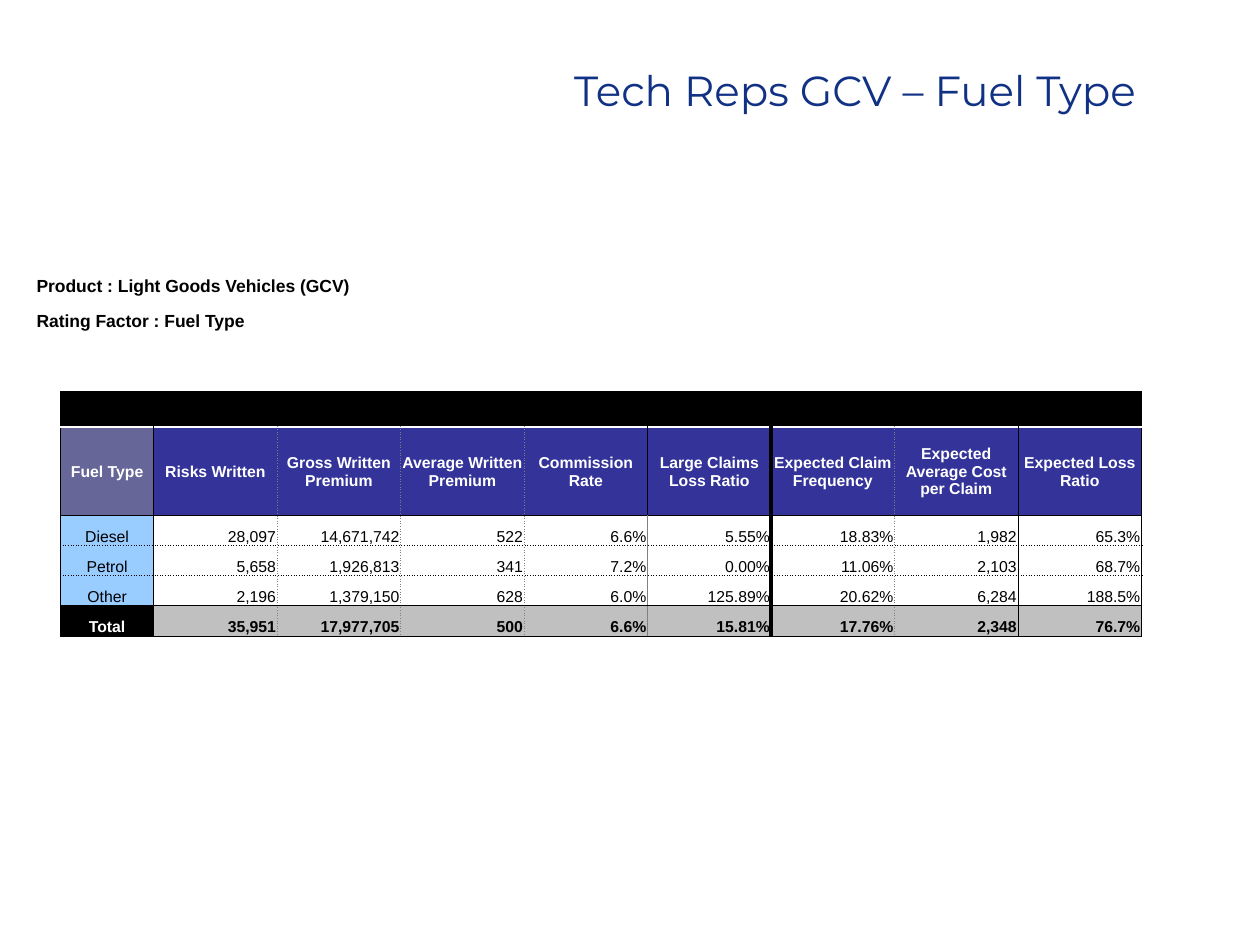
"""Build the fuel type results slide for light goods vehicles."""
from lxml import etree
from pptx import Presentation, util as u
from pptx.dml.color import RGBColor
from pptx.enum import text
from pptx.oxml import ns

COLORS = {
    "title": "103184", "black": "000000", "white": "FFFFFF", "gray": "808080",
    "corner": "666699", "header": "333399", "label": "99CCFF", "total": "C0C0C0",
}
BORDERS = {
    "solid": ("black", 0.5, "solid"), "dotted": ("black", 0.5, "sysDot"),
    "gray": ("gray", 0.5, "solid"), "gray dotted": ("gray", 0.5, "sysDot"),
    "thick": ("black", 2, "solid"), "white": ("white", 1, "solid"),
}
NO_STYLE = "{2D5ABB26-0587-4C30-8999-92F81FD0307C}"
COLUMN_WIDTHS = [0.2, 0.74] + [0.98] * 8 + [0.66]
ROW_HEIGHTS = [0.24, 0.33, 0.28, 0.24, 0.24, 0.28, 0.7] + [0.24] * 6
CAPTIONS = ["Product : Light Goods Vehicles (GCV)", "Rating Factor : Fuel Type"]
BAND, HEADER, TOTAL = 5, 6, 10
RESULTS = [
    ["Fuel Type", "Risks Written", "Gross Written Premium", "Average Written Premium",
     "Commission Rate", "Large Claims Loss Ratio", "Expected Claim Frequency",
     "Expected Average Cost per Claim", "Expected Loss Ratio"],
    ["Diesel", "28,097", "14,671,742", "522", "6.6%", "5.55%", "18.83%", "1,982", "65.3%"],
    ["Petrol", "5,658", "1,926,813", "341", "7.2%", "0.00%", "11.06%", "2,103", "68.7%"],
    ["Other", "2,196", "1,379,150", "628", "6.0%", "125.89%", "20.62%", "6,284", "188.5%"],
    ["Total", "35,951", "17,977,705", "500", "6.6%", "15.81%", "17.76%", "2,348", "76.7%"],
]
ROW_EDGES = ["solid", "white", "solid", "dotted", "dotted", "solid", "solid"]
COLUMN_EDGES = (["solid"] * 2 + ["gray dotted"] * 3
                + ["gray", "thick", "gray dotted", "solid", "solid"])


def write(paragraph, words, size, color, bold=False, align=text.PP_ALIGN.LEFT, font="Arial"):
    paragraph.text = words
    paragraph.alignment = align
    run_font = paragraph.runs[0].font
    run_font.name, run_font.size, run_font.bold = font, u.Pt(size), bold
    run_font.color.rgb = RGBColor.from_string(COLORS[color])


def add_border(cell, side, name):
    color, width, dash = BORDERS[name]
    line = etree.SubElement(cell._tc.get_or_add_tcPr(), ns.qn(f"a:ln{side}"), w=str(u.Pt(width)))
    fill = etree.SubElement(line, ns.qn("a:solidFill"))
    etree.SubElement(fill, ns.qn("a:srgbClr"), val=COLORS[color])
    etree.SubElement(line, ns.qn("a:prstDash"), val=dash)


presentation = Presentation()
presentation.slide_width, presentation.slide_height = u.Inches(10), u.Inches(7.5)
slide = presentation.slides.add_slide(presentation.slide_layouts[6])

title = slide.shapes.add_textbox(u.Inches(1.69), u.Inches(0.21), u.Inches(7.42), u.Inches(1))
title.text_frame.word_wrap = True
title.text_frame.vertical_anchor = text.MSO_ANCHOR.MIDDLE
write(title.text_frame.paragraphs[0], "Tech Reps GCV – Fuel Type", 24, "title",
      align=text.PP_ALIGN.RIGHT, font="Montserrat")

frame = slide.shapes.add_table(
    len(ROW_HEIGHTS), len(COLUMN_WIDTHS), u.Inches(0.28), u.Inches(1.78),
    u.Inches(sum(COLUMN_WIDTHS)), u.Inches(sum(ROW_HEIGHTS)))
table = frame.table
table.first_row = table.horz_banding = False
table._tbl.tblPr.find(ns.qn("a:tableStyleId")).text = NO_STYLE
for column, width in zip(table.columns, COLUMN_WIDTHS):
    column.width = u.Inches(width)
for row, height in zip(table.rows, ROW_HEIGHTS):
    row.height = u.Inches(height)

for row in range(len(ROW_HEIGHTS)):
    for column in range(len(COLUMN_WIDTHS)):
        cell = table.cell(row, column)
        cell.margin_left = cell.margin_top = cell.margin_right = u.Inches(0.01)
        cell.margin_bottom = 0
        cell.vertical_anchor = text.MSO_ANCHOR.BOTTOM
        paragraph = cell.text_frame.paragraphs[0]
        if not (BAND <= row <= TOTAL and 1 <= column <= 9):
            cell.fill.background()
        else:
            edges = ["solid"] * 10 if row == BAND else COLUMN_EDGES[:]
            if row == HEADER:
                edges[5] = "solid"
            add_border(cell, "L", edges[column - 1])
            add_border(cell, "R", edges[column])
            add_border(cell, "T", ROW_EDGES[row - BAND])
            add_border(cell, "B", ROW_EDGES[row - BAND + 1])
            is_label = column == 1
            if row == BAND:
                fill = "black"
            elif row == HEADER:
                fill = "corner" if is_label else "header"
            elif row == TOTAL:
                fill = "black" if is_label else "total"
            else:
                fill = "label" if is_label else None
            if fill:
                cell.fill.solid()
                cell.fill.fore_color.rgb = RGBColor.from_string(COLORS[fill])
            else:
                cell.fill.background()
            if row >= HEADER:
                centered = is_label or row == HEADER
                light = row == HEADER or (row == TOTAL and is_label)
                write(paragraph, RESULTS[row - HEADER][column - 1], 9,
                      "white" if light else "black", row in (HEADER, TOTAL),
                      text.PP_ALIGN.CENTER if centered else text.PP_ALIGN.RIGHT)
            if row == HEADER:
                cell.vertical_anchor = text.MSO_ANCHOR.MIDDLE
        if not paragraph.runs:
            etree.SubElement(paragraph._p, ns.qn("a:endParaRPr"), sz="900")

for row, caption in enumerate(CAPTIONS, start=1):
    table.cell(row, 0).merge(table.cell(row, 3))
    write(table.cell(row, 0).text_frame.paragraphs[0], caption, 10, "black", True)
table.cell(BAND, 1).merge(table.cell(BAND, 9))

presentation.save("out.pptx")
